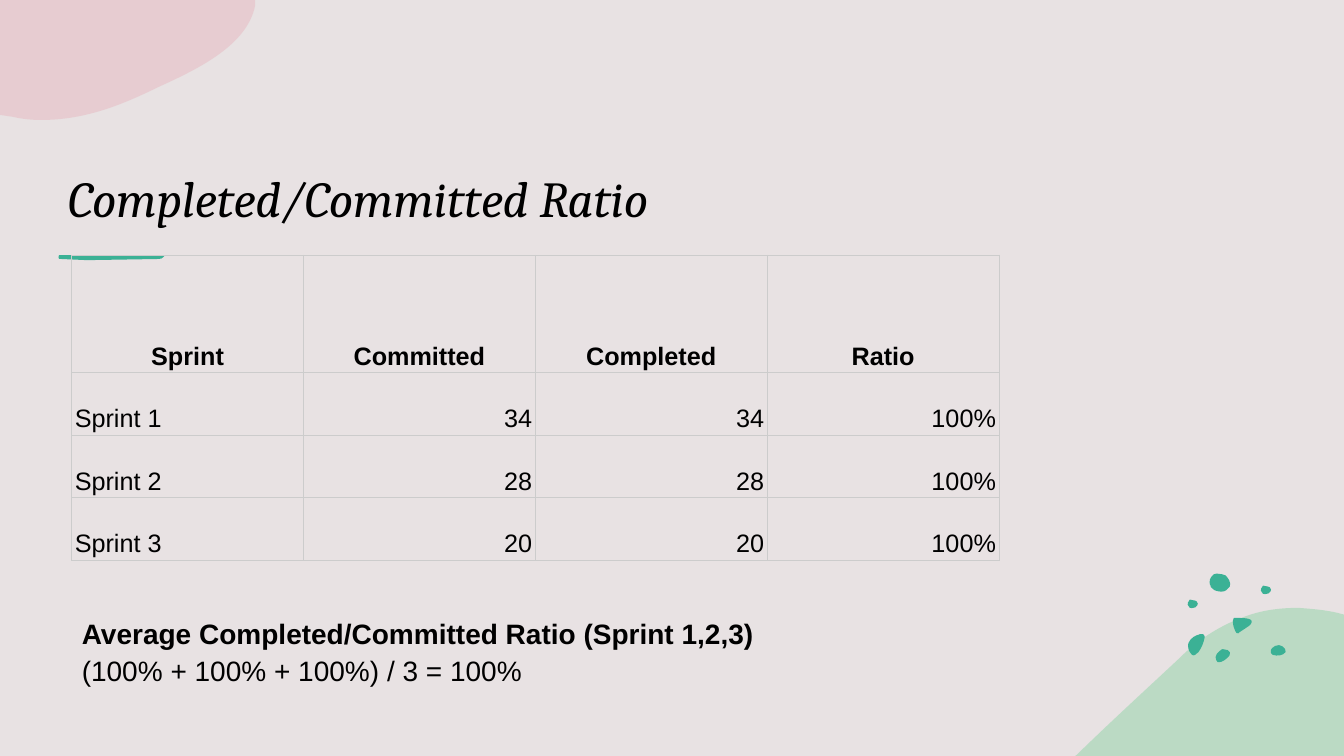
from dataclasses import dataclass

from lxml import etree
from pptx import Presentation
from pptx.dml.color import RGBColor
from pptx.enum import text
from pptx.oxml import ns
from pptx.util import Pt


@dataclass(frozen=True)
class Theme:
    background: str = "E8E2E3"
    ink: str = "000000"
    teal: str = "3BB195"
    green: str = "90D3A7"
    pink: str = "E7B8C0"
    grid: str = "CCCCCC"
    title_font: str = "Cambria"
    body_font: str = "Arial"
    title_size: int = 36
    body_size: int = 20
    table_size: int = 18


THEME = Theme()

# Outlines: a start point, then lines (x, y) and curves (x1, y1, x2, y2, x, y).
GREEN_HILL = [
    (927.4, 434.2), (936.7, 434.9, 946.1, 435.6, 955.4, 437.8), (960, 439),
    (960, 540), (768, 540), (769, 539.3), (793.4, 515.5, 818.6, 492.5, 841.7, 470.9),
    (857.5, 455, 874.1, 445.7, 890.6, 439.9), (902.9, 435.6, 915.1, 434.2, 927.4, 434.2)]
PINK_CLOUD = [
    (0, 0), (182.2, 0), (182.2, 4.3), (176.4, 31.7, 144, 48.2, 113.8, 61.9),
    (88.6, 74.2, 61.9, 85.7, 29.5, 85.7), (22.3, 85.7, 15.8, 85, 9.4, 83.5), (0, 82.1)]
UNDERLINE = [
    (42.1, 182.2), (118, 182.2), (116, 182.9, 117.4, 185, 113, 185),
    (82, 185.5), (62, 185.8), (43.9, 185), (41, 185.8, 41.8, 182.9, 42.1, 182.2)]
SMALL_PEBBLE = [
    (900.7, 421.9), (900.7, 421.9, 900.7, 419, 902.2, 418.3),
    (903.6, 418.3, 904.3, 418.3, 905.8, 419), (906.5, 419, 907.9, 419.8, 907.9, 421.2),
    (907.9, 421.9, 907.2, 423.4, 906.5, 423.4), (906.5, 423.4, 906.5, 424.1, 905, 424.1),
    (904.3, 424.1, 902.9, 424.8, 902.2, 424.1), (901.4, 422.6, 900.7, 422.6, 900.7, 421.9)]
LARGE_PEBBLES = [
    [(873.4, 463.7), (874.8, 463.7, 875.5, 463.7, 877, 464.4),
     (878.4, 465.1, 879.1, 466.6, 878.4, 468), (877, 470.2, 872.6, 473.8, 869.8, 473),
     (869, 472.3, 868.3, 470.9, 868.3, 469.4), (868.3, 468, 869.8, 465.8, 871.2, 465.1),
     (871.9, 464.4, 872.6, 463.7, 873.4, 463.7)],
    [(857.5, 452.9), (859, 452.9, 860.4, 452.9, 860.4, 454.3),
     (860.4, 455, 860.4, 455, 860.4, 455.8),
     (859.7, 459.4, 858.2, 463, 856.1, 465.8), (854.6, 467.3, 852.5, 469.4, 851, 467.3),
     (848.9, 465.1, 848.2, 461.5, 848.9, 459.4), (849.6, 457.2, 851, 456.5, 852.5, 455),
     (853.2, 455, 855.4, 452.9, 857.5, 452.9)],
    [(913.7, 460.8), (915.1, 460.8, 917.3, 462.2, 918, 463.7),
     (918.7, 465.1, 918.7, 466.6, 916.6, 467.3), (914.4, 468.7, 908.6, 468.7, 907.9, 466.6),
     (907.2, 465.1, 907.9, 463.7, 908.6, 463), (910.1, 461.5, 911.5, 460.8, 913.7, 460.8)],
    [(864.7, 418.3), (864, 418.3, 863.3, 414, 865.4, 411.8),
     (866.9, 410.4, 866.9, 409.7, 869, 409.7), (871.2, 409.7, 874.1, 410.4, 875.5, 411.1),
     (877, 412.6, 879.8, 416.2, 878.4, 419), (876.2, 421.2, 875.5, 422.6, 872.6, 422.6),
     (870.5, 422.6, 866.9, 421.9, 866.2, 420.5), (864.7, 419.8, 864.7, 419, 864.7, 418.3)],
    [(884.2, 441.4), (888.5, 441.4, 896.4, 441.4, 893.5, 445.7),
     (893.5, 446.4, 892.8, 447.1, 892.1, 447.1), (889.9, 448.6, 887.8, 450, 885.6, 451.4),
     (884.9, 452.2, 884.2, 452.9, 883.4, 452.2), (883.4, 452.2, 882.7, 451.4, 882.7, 451.4),
     (881.3, 448.6, 880.6, 446.4, 880.6, 443.5), (880.6, 442.8, 880.6, 442.1, 881.3, 441.4)],
]
ROWS = [
    ("Sprint", "Committed", "Completed", "Ratio"),
    ("Sprint 1", "34", "34", "100%"),
    ("Sprint 2", "28", "28", "100%"),
    ("Sprint 3", "20", "20", "100%"),
]


def bend_segments(shape, segments):
    """Turn the straight segments that have control points into Bézier curves."""
    lines = shape._element.findall(".//" + ns.qn("a:lnTo"))
    for line, segment in zip(lines, segments):
        if len(segment) == 6:
            curve = etree.Element(ns.qn("a:cubicBezTo"))
            for x, y in zip(segment[::2], segment[1::2]):
                etree.SubElement(curve, ns.qn("a:pt"),
                                 x=str(Pt(x) - shape.left), y=str(Pt(y) - shape.top))
            line.getparent().replace(line, curve)


def add_blob(slide, outline, color, opacity=100, shift=(0, 0)):
    segments = [tuple(value + shift[index % 2] for index, value in enumerate(segment))
                for segment in outline]
    ends = [(Pt(segment[-2]), Pt(segment[-1])) for segment in segments]
    builder = slide.shapes.build_freeform(*ends[0], scale=1.0)
    builder.add_line_segments(ends[1:], close=True)
    shape = builder.convert_to_shape()
    bend_segments(shape, segments[1:])
    shape.shadow.inherit = False
    shape.line.fill.background()
    shape.fill.solid()
    shape.fill.fore_color.rgb = RGBColor.from_string(color)
    if opacity < 100:
        fill_color = shape.fill._xPr.find(".//" + ns.qn("a:srgbClr"))
        etree.SubElement(fill_color, ns.qn("a:alpha"), val=str(opacity * 1000))


def add_run(paragraph, words, font, size, bold=False, italic=False):
    run = paragraph.add_run()
    run.text = words
    run.font.name, run.font.size = font, Pt(size)
    run.font.bold, run.font.italic = bold, italic
    run.font.color.rgb = RGBColor.from_string(THEME.ink)


def add_text_box(slide, left, top, width, height, anchor):
    frame = slide.shapes.add_textbox(Pt(left), Pt(top), Pt(width), Pt(height)).text_frame
    frame.word_wrap = True
    frame.vertical_anchor = anchor
    return frame.paragraphs[0]


def set_borders(cell):
    properties = cell._tc.get_or_add_tcPr()
    for index, side in enumerate(("lnL", "lnR", "lnT", "lnB")):
        line = etree.Element(ns.qn("a:" + side), w=str(Pt(0.75)))
        fill = etree.SubElement(line, ns.qn("a:solidFill"))
        etree.SubElement(fill, ns.qn("a:srgbClr"), val=THEME.grid)
        properties.insert(index, line)


def fill_cell(cell, words, alignment, bold):
    cell.fill.background()
    cell.margin_left = cell.margin_right = Pt(2.25)
    cell.margin_top = cell.margin_bottom = Pt(1.5)
    cell.vertical_anchor = text.MSO_ANCHOR.BOTTOM
    paragraph = cell.text_frame.paragraphs[0]
    paragraph.alignment = alignment
    add_run(paragraph, words, THEME.body_font, THEME.table_size, bold)
    set_borders(cell)


def add_sprint_table(slide):
    frame = slide.shapes.add_table(len(ROWS), len(ROWS[0]),
                                   Pt(51.2), Pt(182.3), Pt(662.4), Pt(217.8))
    table = frame.table
    table.first_row = table.horz_banding = False
    for column in table.columns:
        column.width = Pt(165.6)
    for row_index, values in enumerate(ROWS):
        header = row_index == 0
        table.rows[row_index].height = Pt(84 if header else 44.6)
        for column_index, value in enumerate(values):
            if header:
                alignment = text.PP_ALIGN.CENTER
            else:
                alignment = text.PP_ALIGN.RIGHT if column_index else text.PP_ALIGN.LEFT
            fill_cell(table.cell(row_index, column_index), value, alignment, header)


def main():
    presentation = Presentation()
    presentation.slide_width, presentation.slide_height = Pt(960), Pt(540)
    slide = presentation.slides.add_slide(presentation.slide_layouts[6])
    slide.background.fill.solid()
    slide.background.fill.fore_color.rgb = RGBColor.from_string(THEME.background)

    add_blob(slide, GREEN_HILL, THEME.green, opacity=50)
    for pebble in LARGE_PEBBLES:
        add_blob(slide, pebble, THEME.teal)
    for shift in ((0, 0), (-52.3, 10)):
        add_blob(slide, SMALL_PEBBLE, THEME.teal, shift=shift)
    add_blob(slide, PINK_CLOUD, THEME.pink, opacity=50)
    add_blob(slide, UNDERLINE, THEME.teal)

    title = add_text_box(slide, 41.4, 62, 793.4, 104.4, text.MSO_ANCHOR.BOTTOM)
    add_run(title, "Completed/Committed Ratio", THEME.title_font, THEME.title_size, italic=True)

    average = add_text_box(slide, 51.3, 434.6, 793.4, 60, text.MSO_ANCHOR.TOP)
    average.line_spacing = 1.1
    add_run(average, "Average Completed/Committed Ratio (Sprint 1,2,3)",
            THEME.body_font, THEME.body_size, bold=True)
    average.add_line_break()
    add_run(average, "(100% + 100% + 100%) / 3 = 100%", THEME.body_font, THEME.body_size)

    add_sprint_table(slide)
    presentation.save("out.pptx")


if __name__ == "__main__":
    main()
